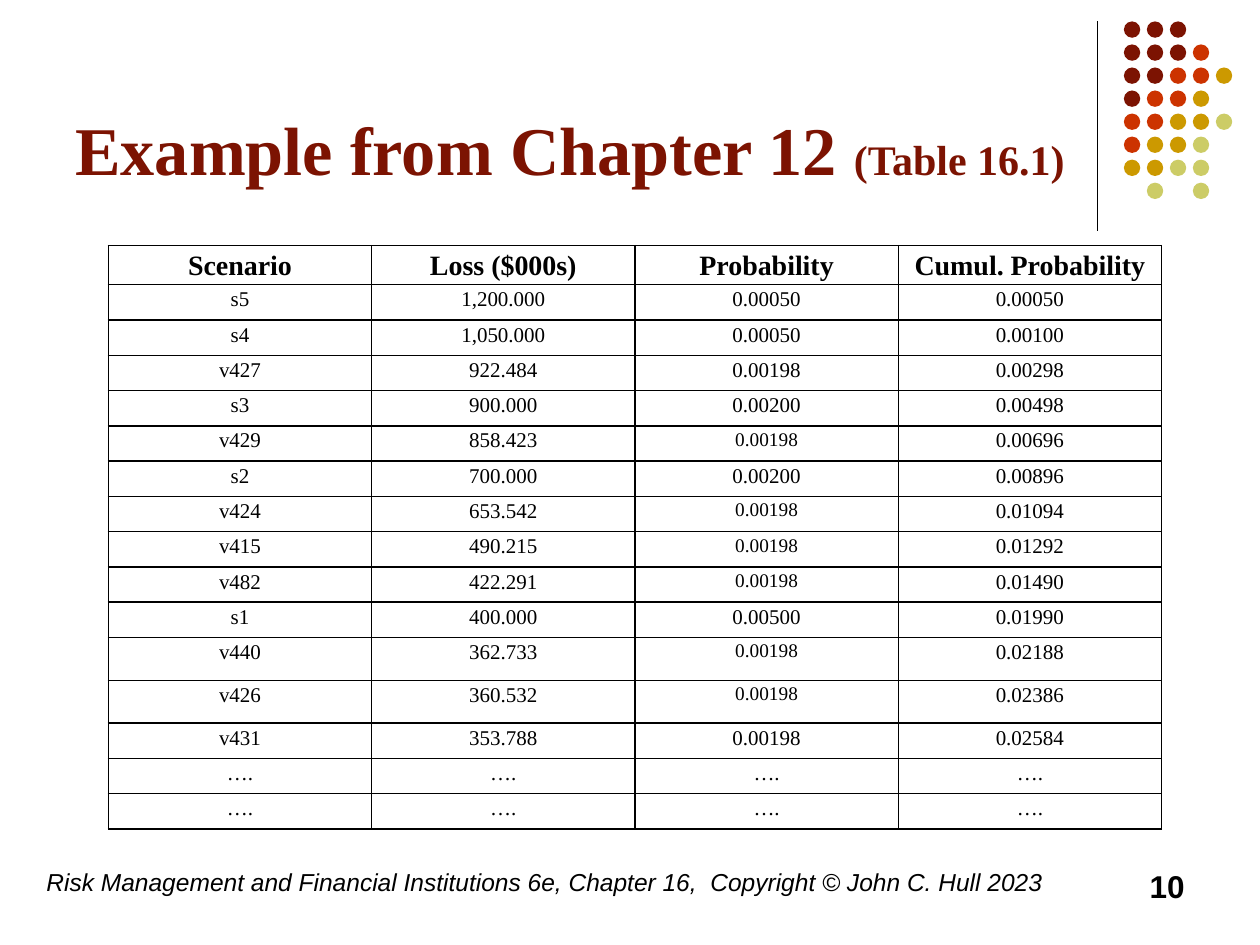
from lxml import etree
from pptx import Presentation
from pptx import util as u
from pptx.dml.color import RGBColor
from pptx.enum import shapes, text
from pptx.oxml import parse_xml
from pptx.oxml.ns import nsdecls, qn

SERIF, SANS = "Times New Roman", "Arial"
BLACK, MAROON = "000000", "7C1302"
DOT_COLORS = {"m": MAROON, "r": "CC3300", "g": "CC9900", "l": "CCCC66"}
DOT_ROWS = ["mmm", "mmmr", "mmrrg", "mrrg", "rrggl", "rggl", "ggll", " l l"]
HEADINGS = ["Scenario", "Loss ($000s)", "Probability", "Cumul. Probability"]
SCENARIOS = [
    ("s5", "1,200.000", "0.00050", "0.00050"),
    ("s4", "1,050.000", "0.00050", "0.00100"),
    ("v427", "922.484", "0.00198", "0.00298"),
    ("s3", "900.000", "0.00200", "0.00498"),
    ("v429", "858.423", "0.00198", "0.00696"),
    ("s2", "700.000", "0.00200", "0.00896"),
    ("v424", "653.542", "0.00198", "0.01094"),
    ("v415", "490.215", "0.00198", "0.01292"),
    ("v482", "422.291", "0.00198", "0.01490"),
    ("s1", "400.000", "0.00500", "0.01990"),
    ("v440", "362.733", "0.00198", "0.02188"),
    ("v426", "360.532", "0.00198", "0.02386"),
    ("v431", "353.788", "0.00198", "0.02584"),
    ("….",) * 4,
    ("….",) * 4,
]
SMALL_PROBABILITY = {"v429", "v424", "v415", "v482", "v440", "v426"}
TALL_ROWS = {"v440", "v426"}


def color(value):
    return RGBColor.from_string(value)


def set_font(font, name, size, value, bold=False, italic=False):
    font.name, font.size = name, u.Pt(size)
    font.bold, font.italic = bold, italic
    font.color.rgb = color(value)


def add_box(page, left, top, width, height, anchor=text.MSO_ANCHOR.TOP):
    box = page.shapes.add_textbox(*map(u.Inches, (left, top, width, height)))
    box.text_frame.word_wrap = True
    box.text_frame.vertical_anchor = anchor
    return box.text_frame.paragraphs[0]


def add_title(page, left, top, width, height):
    para = add_box(page, left, top, width, height, text.MSO_ANCHOR.BOTTOM)
    for words, size in (("Example from Chapter 12 ", 39), ("(Table 16.1)", 24)):
        span = para.add_run()
        span.text = words
        set_font(span.font, SERIF, size, MAROON, bold=True)


def add_footer(page, left, top, width, height):
    para = add_box(page, left, top, 8.27, height)
    para.text = ("Risk Management and Financial Institutions 6e, Chapter 16,  "
                 "Copyright © John C. Hull 2023")
    set_font(para.font, SANS, 14, BLACK, italic=True)
    number_width = 2.33
    para = add_box(page, left + width - number_width, top, number_width, height)
    para.text = "10"
    para.alignment = text.PP_ALIGN.RIGHT
    set_font(para.font, SANS, 18, BLACK, bold=True)


def add_divider(page, left, top, height):
    line = page.shapes.add_connector(
        shapes.MSO_CONNECTOR.STRAIGHT, u.Inches(left), u.Inches(top),
        u.Inches(left), u.Inches(top + height))
    line.line.color.rgb = color(BLACK)
    line.line.width = u.Pt(0.75)
    etree.SubElement(line._element.spPr, qn("a:effectLst"))


def add_dots(page, left, top, width, height, size=0.13):
    group = page.shapes.add_group_shape()
    across = (width - size) / (max(map(len, DOT_ROWS)) - 1)
    down = (height - size) / (len(DOT_ROWS) - 1)
    for row, codes in enumerate(DOT_ROWS):
        for col, code in enumerate(codes):
            if code not in DOT_COLORS:
                continue
            dot = group.shapes.add_shape(
                shapes.MSO_SHAPE.OVAL, u.Inches(left + col * across),
                u.Inches(top + row * down), u.Inches(size), u.Inches(size))
            dot.shadow.inherit = False
            dot.fill.solid()
            dot.fill.fore_color.rgb = color(DOT_COLORS[code])
            dot.line.fill.background()


def add_borders(cell):
    properties = cell._tc.get_or_add_tcPr()
    for index, side in enumerate(("lnL", "lnR", "lnT", "lnB")):
        properties.insert(index, parse_xml(
            f'<a:{side} {nsdecls("a")} w="12700"><a:solidFill>'
            f'<a:srgbClr val="{BLACK}"/></a:solidFill></a:{side}>'))


def fill_cell(cell, words, size, bold):
    cell.margin_left = cell.margin_right = u.Inches(0.07)
    cell.margin_top = cell.margin_bottom = 0
    cell.fill.background()
    add_borders(cell)
    para = cell.text_frame.paragraphs[0]
    para.text = words
    para.alignment = text.PP_ALIGN.CENTER
    para.line_spacing = 1.15
    set_font(para.font, SERIF, size, BLACK, bold=bold)


def add_scenario_table(page, left, top, width, height):
    rows = [HEADINGS, *SCENARIOS]
    table = page.shapes.add_table(
        len(rows), len(HEADINGS),
        *map(u.Inches, (left, top, width, height))).table
    for column in table.columns:
        column.width = u.Inches(width / len(HEADINGS))
    for row, values in enumerate(rows):
        header = row == 0
        tall = values[0] in TALL_ROWS
        table.rows[row].height = u.Inches(0.31 if header else 0.34 if tall else 0.28)
        for col, words in enumerate(values):
            small = col == 2 and values[0] in SMALL_PROBABILITY
            size = 16 if header else 11 if small else 12
            fill_cell(table.cell(row, col), words, size, header)


def main():
    deck = Presentation()
    deck.slide_width, deck.slide_height = u.Inches(10), u.Inches(7.5)
    page = deck.slides.add_slide(deck.slide_layouts[6])
    add_divider(page, 8.71, 0.17, 1.66)
    add_dots(page, 8.92, 0.17, 0.86, 1.41)
    add_title(page, 0.5, 0.13, 8.25, 1.42)
    add_footer(page, 0.27, 6.83, 9.23, 0.5)
    add_scenario_table(page, 0.86, 1.95, 8.36, 4.64)
    deck.save("out.pptx")


if __name__ == "__main__":
    main()
